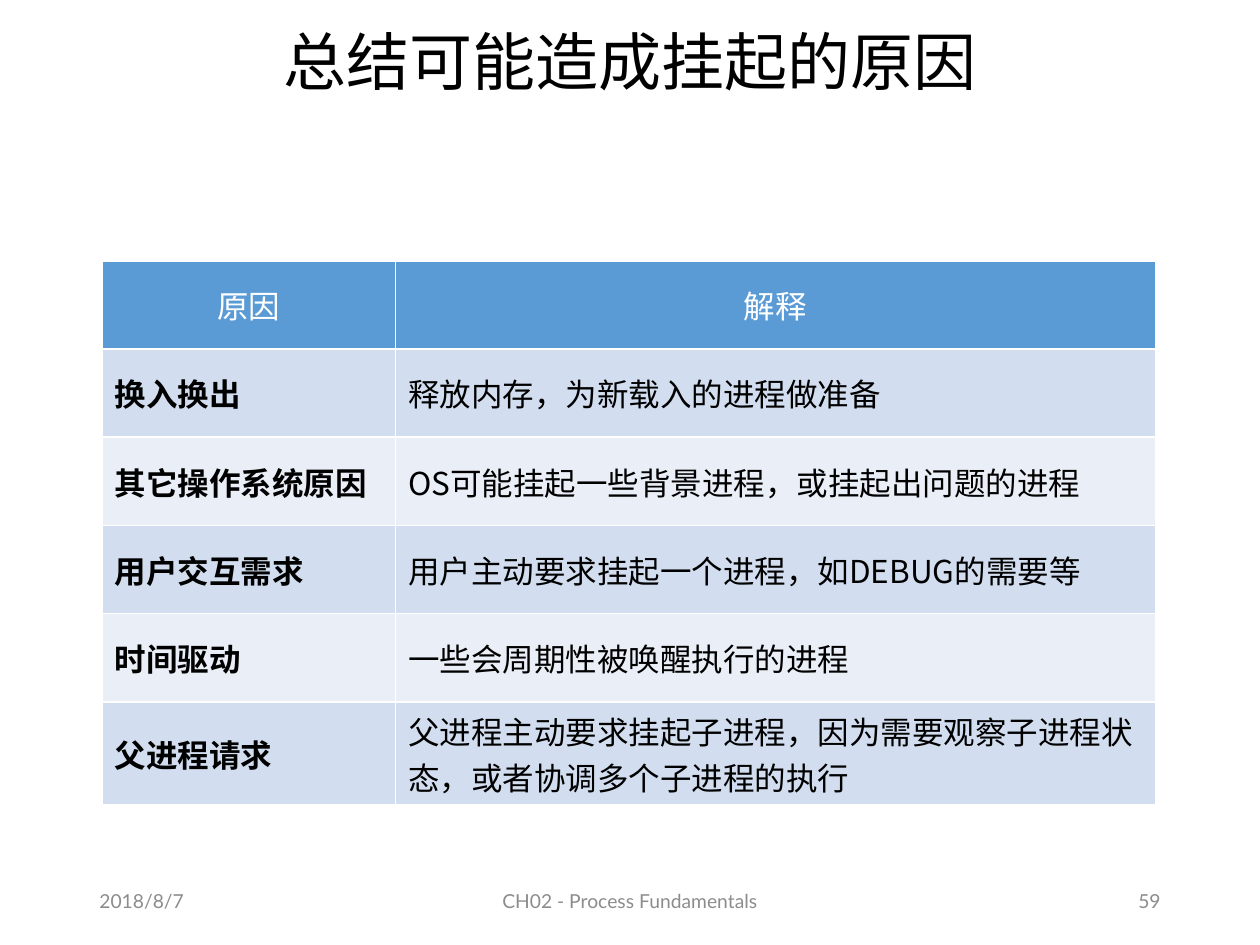
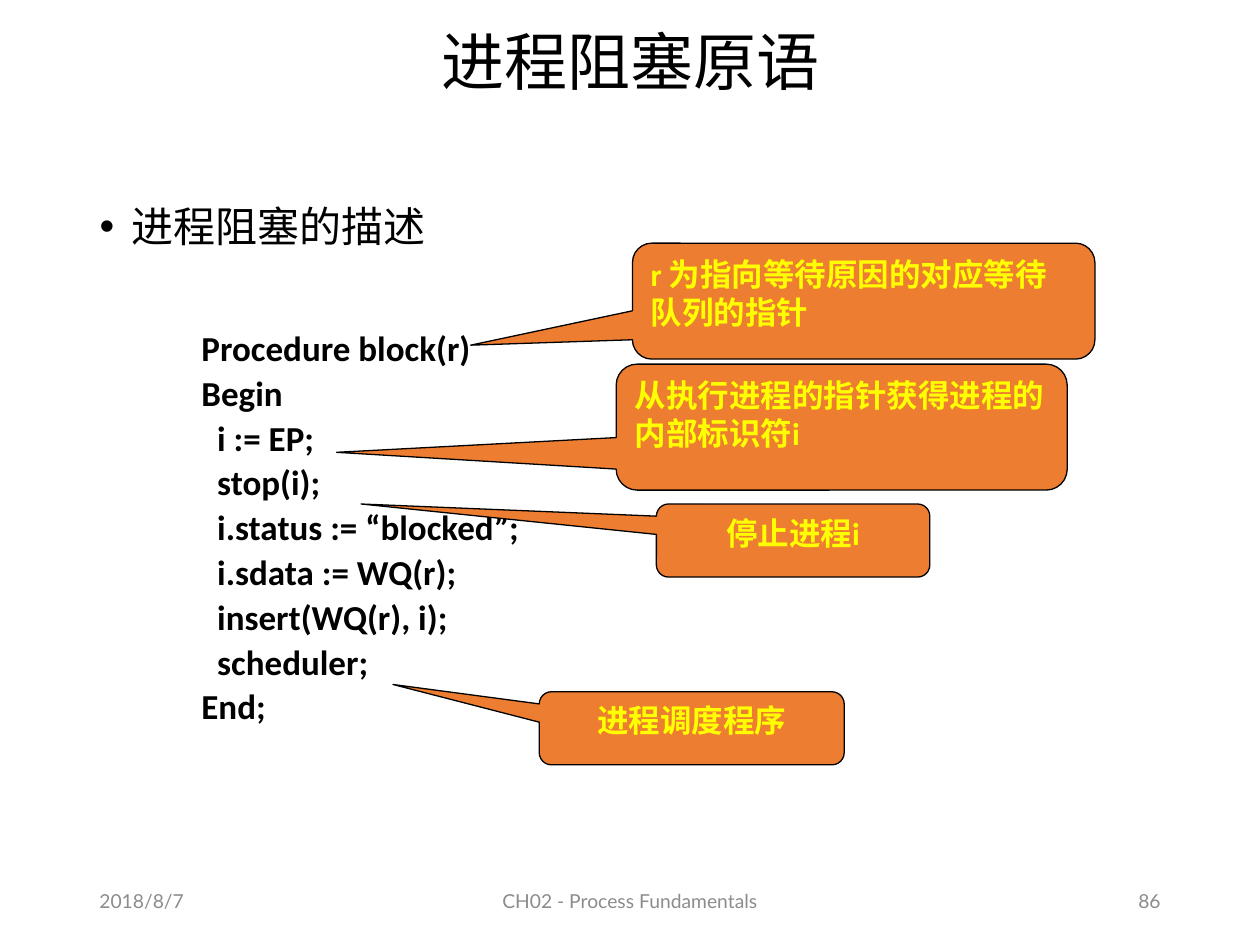
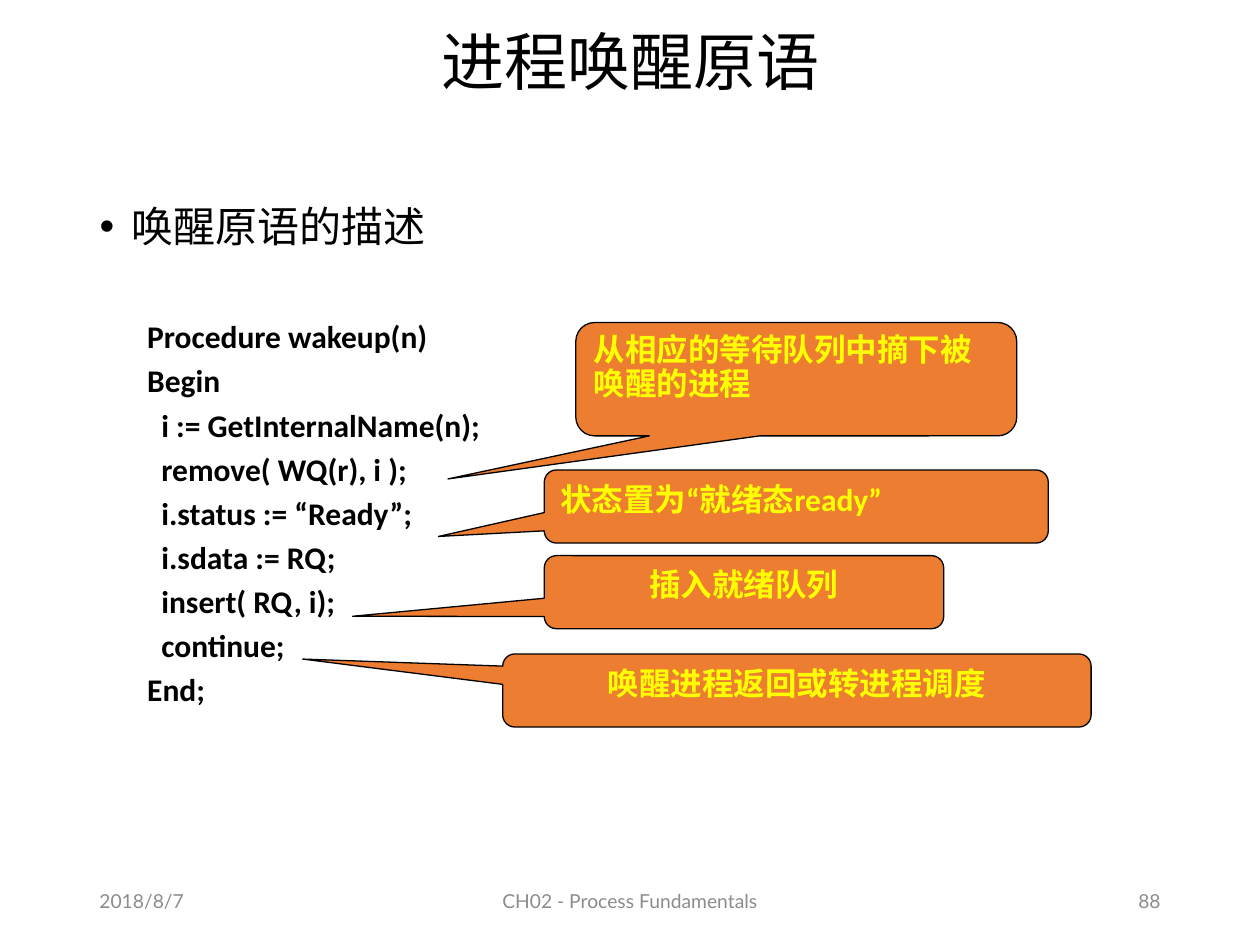
from dataclasses import dataclass

import pptx
import pptx.dml.color
import pptx.enum.shapes
import pptx.enum.text
import pptx.oxml
import pptx.oxml.ns
import pptx.util
from pptx.util import Inches

COLORS = {
    "text": "000000", "footer": "8C8C8C", "white": "FFFFFF", "header": "5B9BD5",
    "band_dark": "D2DEEF", "band_light": "EAEFF7", "callout": "ED7D31", "callout_text": "FFFF00",
}
CJK = "Noto Sans CJK SC"
CODE_FONT = "Calibri"
ALIGN = pptx.enum.text.PP_ALIGN
ANCHOR = pptx.enum.text.MSO_ANCHOR


@dataclass(frozen=True)
class Box:
    left: float
    top: float
    width: float
    height: float

    def lengths(self) -> tuple:
        return tuple(Inches(v) for v in (self.left, self.top, self.width, self.height))


@dataclass(frozen=True)
class Style:
    size: float
    font: str = CJK
    color: str = "text"
    bold: bool = False


@dataclass(frozen=True)
class Callout:
    text: str
    box: Box
    tip: tuple[float, float]
    align: ALIGN = ALIGN.LEFT
    spacing: float = 1.0


@dataclass(frozen=True)
class Code:
    name: str
    statements: tuple[str, ...]
    box: Box
    size: float
    spacing: float = 1.0


@dataclass(frozen=True)
class Primitive:
    title: str
    heading: str
    page: str
    code: Code
    callouts: tuple[Callout, ...]


TITLE_BOX = Box(0.69, 0.14, 8.62, 0.76)
BODY_BOX = Box(0.69, 1.44, 8.62, 5.38)
DATE_BOX = Box(0.69, 6.95, 2.25, 0.4)
FOOTER_BOX = Box(3.31, 6.95, 3.38, 0.4)
PAGE_BOX = Box(7.06, 6.95, 2.25, 0.4)
COLUMN_WIDTHS = (2.33, 6.03)
ROW_HEIGHTS = (0.7,) * 5 + (0.82,)
TABLE_BOX = Box(0.81, 2.07, sum(COLUMN_WIDTHS), sum(ROW_HEIGHTS))

TITLE_STYLE = Style(36)
BODY_STYLE = Style(24)
FOOTER_STYLE = Style(11, "Lato", "footer")
CALLOUT_STYLE = Style(18, CODE_FONT, "callout_text", True)

REASONS = (
    ("原因", "解释"),
    ("换入换出", "释放内存，为新载入的进程做准备"),
    ("其它操作系统原因", "OS可能挂起一些背景进程，或挂起出问题的进程"),
    ("用户交互需求", "用户主动要求挂起一个进程，如DEBUG的需要等"),
    ("时间驱动", "一些会周期性被唤醒执行的进程"),
    ("父进程请求", "父进程主动要求挂起子进程，因为需要观察子进程状态，或者协调多个子进程的执行"),
)

PRIMITIVES = (
    Primitive(
        "进程阻塞原语", "进程阻塞的描述", "86",
        Code(
            "Procedure block(r)",
            ("i := EP;", "stop(i);", "i.status := “blocked”;", "i.sdata := WQ(r);",
             "insert(WQ(r), i);", "scheduler;"),
            Box(1.5, 2.58, 3.75, 4.08), 20, 0.9,
        ),
        (
            Callout("r 为指向等待原因的对应等待队列的指针", Box(5.02, 1.93, 3.67, 0.92), (-0.85, 0.38)),
            Callout("从执行进程的指针获得进程的内部标识符i", Box(4.89, 2.89, 3.58, 1), (-1.12, 0.2)),
            Callout("停止进程i", Box(5.21, 4, 2.17, 0.58), (-1.58, -0.5), ALIGN.CENTER),
            Callout("进程调度程序", Box(4.28, 5.49, 2.42, 0.58), (-0.98, -0.6), ALIGN.CENTER),
        ),
    ),
    Primitive(
        "进程唤醒原语", "唤醒原语的描述", "88",
        Code(
            "Procedure wakeup(n)",
            ("i := GetInternalName(n);", "remove( WQ(r), i );", "i.status := “Ready”;",
             "i.sdata := RQ;", "insert( RQ, i);", "continue;"),
            Box(1.07, 2.47, 4, 4.33), 18,
        ),
        (
            Callout("从相应的等待队列中摘下被唤醒的进程", Box(4.57, 2.56, 3.5, 0.9), (-0.79, 0.88), spacing=0.9),
            Callout("状态置为“就绪态ready”", Box(4.32, 3.73, 4, 0.58), (-0.71, 0.41)),
            Callout("插入就绪队列", Box(4.32, 4.41, 3.17, 0.58), (-0.98, 0.33), ALIGN.CENTER),
            Callout("唤醒进程返回或转进程调度", Box(3.99, 5.19, 4.67, 0.58), (-0.84, -0.43), ALIGN.CENTER),
        ),
    ),
)


def rgb(name: str) -> pptx.dml.color.RGBColor:
    return pptx.dml.color.RGBColor.from_string(COLORS[name])


def add_run(p, text: str, style: Style) -> None:
    r = p.add_run()
    r.text = text
    r.font.size = pptx.util.Pt(style.size)
    r.font.name = style.font
    r.font.bold = style.bold
    r.font.color.rgb = rgb(style.color)
    ea = pptx.oxml.parse_xml(f'<a:ea {pptx.oxml.ns.nsdecls("a")} typeface="{style.font}"/>')
    r.font._element.find(pptx.oxml.ns.qn("a:latin")).addnext(ea)


def set_indent(p, margin: int, first: int = 0) -> None:
    pPr = p._p.get_or_add_pPr()
    pPr.set("marL", str(margin))
    pPr.set("indent", str(first))


def place(sp, box: Box) -> None:
    sp.left, sp.top, sp.width, sp.height = box.lengths()


def add_textbox(slide, box: Box, anchor: ANCHOR):
    tf = slide.shapes.add_textbox(*box.lengths()).text_frame
    tf.word_wrap = True
    tf.vertical_anchor = anchor
    return tf


def add_slide(prs, layout: int, title: str, page: str):
    slide = prs.slides.add_slide(prs.slide_layouts[layout])
    sp = slide.shapes.title
    place(sp, TITLE_BOX)
    tf = sp.text_frame
    tf.auto_size = pptx.enum.text.MSO_AUTO_SIZE.NONE
    tf.vertical_anchor = ANCHOR.MIDDLE
    p = tf.paragraphs[0]
    p.alignment = ALIGN.CENTER
    p.line_spacing = 0.9
    add_run(p, title, TITLE_STYLE)
    for text, box, align in (
        ("2018/8/7", DATE_BOX, ALIGN.LEFT),
        ("CH02 - Process Fundamentals", FOOTER_BOX, ALIGN.CENTER),
        (page, PAGE_BOX, ALIGN.RIGHT),
    ):
        p = add_textbox(slide, box, ANCHOR.MIDDLE).paragraphs[0]
        p.alignment = align
        add_run(p, text, FOOTER_STYLE)
    return slide


def add_borders(cell) -> None:
    tcPr = cell._tc.get_or_add_tcPr()
    for side in "LRTB":
        tcPr.append(pptx.oxml.parse_xml(
            f'<a:ln{side} {pptx.oxml.ns.nsdecls("a")} w="{pptx.util.Pt(1)}"><a:solidFill>'
            f'<a:srgbClr val="{COLORS["white"]}"/></a:solidFill></a:ln{side}>'))


def add_reason_table(slide) -> None:
    table = slide.shapes.add_table(len(REASONS), len(COLUMN_WIDTHS), *TABLE_BOX.lengths()).table
    for column, width in zip(table.columns, COLUMN_WIDTHS):
        column.width = Inches(width)
    for row, height in zip(table.rows, ROW_HEIGHTS):
        row.height = Inches(height)
    for i, reason in enumerate(REASONS):
        header = i == 0
        fill = "header" if header else ("band_light", "band_dark")[i % 2]
        for j, text in enumerate(reason):
            cell = table.cell(i, j)
            cell.vertical_anchor = ANCHOR.MIDDLE
            add_borders(cell)
            cell.fill.solid()
            cell.fill.fore_color.rgb = rgb(fill)
            p = cell.text_frame.paragraphs[0]
            p.alignment = ALIGN.CENTER if header else ALIGN.LEFT
            color = "white" if header else "text"
            add_run(p, text, Style(18, CJK, color, not header and j == 0))


def fill_body(slide, heading: str) -> None:
    sp = slide.placeholders[1]
    place(sp, BODY_BOX)
    tf = sp.text_frame
    tf.auto_size = pptx.enum.text.MSO_AUTO_SIZE.NONE
    p = tf.paragraphs[0]
    set_indent(p, Inches(0.25), -Inches(0.25))
    p.line_spacing = 1.25
    p.space_before = pptx.util.Pt(10)
    add_run(p, heading, BODY_STYLE)


def add_code(slide, code: Code) -> None:
    tf = add_textbox(slide, code.box, ANCHOR.TOP)
    style = Style(code.size, CODE_FONT, bold=True)
    lines = (code.name, "Begin", *code.statements, "End;")
    for i, line in enumerate(lines):
        p = tf.add_paragraph() if i else tf.paragraphs[0]
        p.line_spacing = code.spacing
        p.space_before = pptx.util.Pt(code.size * 0.2)
        if line in code.statements:
            set_indent(p, pptx.util.Pt(code.size * 0.45))
        add_run(p, line, style)


def add_callout(slide, callout: Callout) -> None:
    kind = pptx.enum.shapes.MSO_SHAPE.ROUNDED_RECTANGULAR_CALLOUT
    sp = slide.shapes.add_shape(kind, *callout.box.lengths())
    sp.shadow.inherit = False
    sp.adjustments[0], sp.adjustments[1] = callout.tip
    sp.fill.solid()
    sp.fill.fore_color.rgb = rgb("callout")
    sp.line.color.rgb = rgb("text")
    sp.line.width = pptx.util.Pt(0.75)
    tf = sp.text_frame
    tf.word_wrap = True
    tf.vertical_anchor = ANCHOR.TOP
    p = tf.paragraphs[0]
    p.alignment = callout.align
    p.line_spacing = callout.spacing
    add_run(p, callout.text, CALLOUT_STYLE)


def main() -> None:
    prs = pptx.Presentation()
    prs.slide_width, prs.slide_height = Inches(10), Inches(7.5)
    add_reason_table(add_slide(prs, 5, "总结可能造成挂起的原因", "59"))
    for primitive in PRIMITIVES:
        slide = add_slide(prs, 1, primitive.title, primitive.page)
        fill_body(slide, primitive.heading)
        add_code(slide, primitive.code)
        for callout in primitive.callouts:
            add_callout(slide, callout)
    prs.save("out.pptx")


if __name__ == "__main__":
    main()
